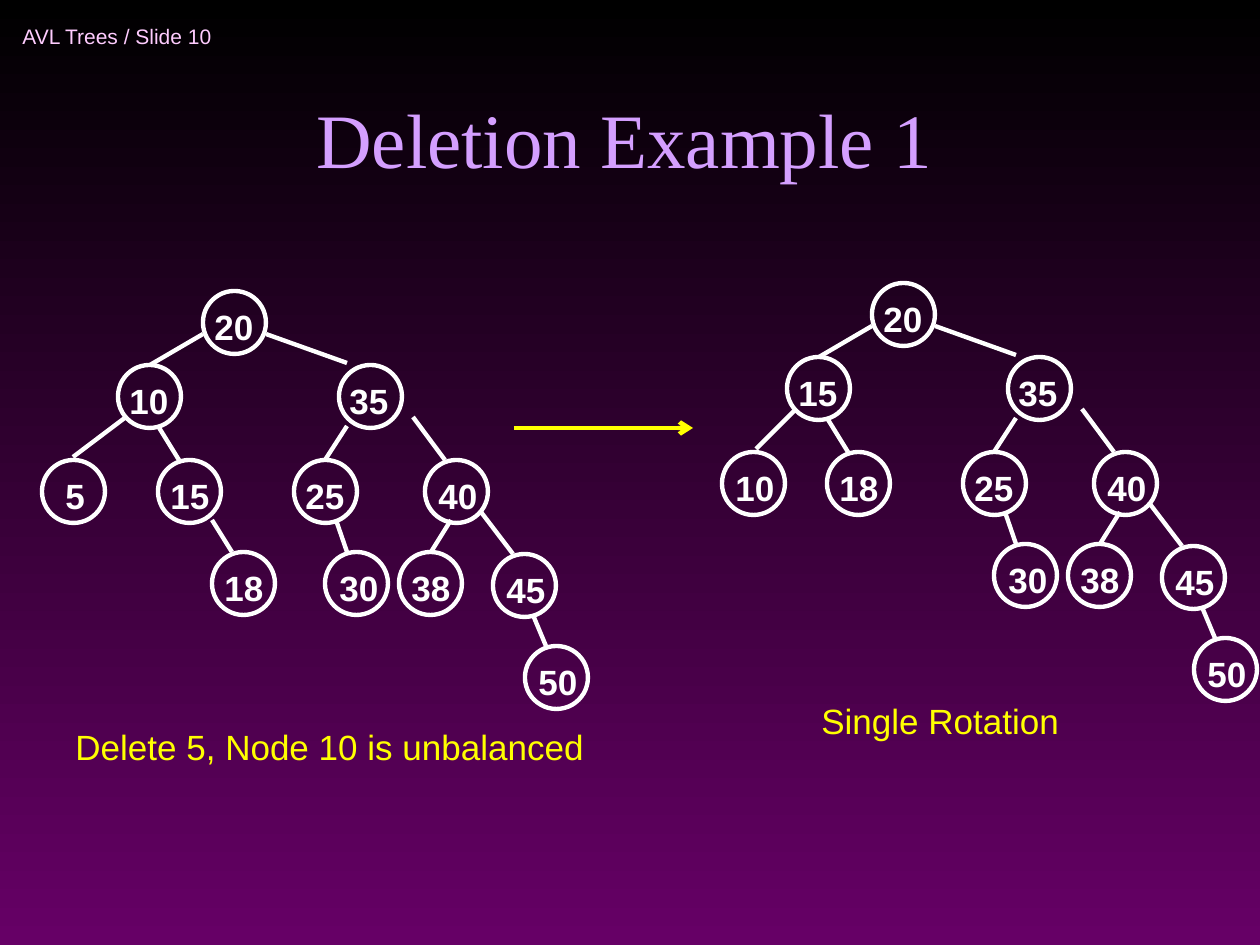
from dataclasses import dataclass
from lxml.etree import SubElement
from pptx import Presentation
from pptx.dml.color import RGBColor as RGB
from pptx.enum.shapes import MSO_CONNECTOR as CONN, MSO_SHAPE as SHAPE
from pptx.enum.text import MSO_ANCHOR as ANCHOR, MSO_AUTO_SIZE as FIT, PP_ALIGN as ALIGN
from pptx.oxml.ns import qn
from pptx.util import Pt

PX = 914400 / 126
NODE = 63
SLOTS = {
    "root": (203, 291, -1, None),
    "left": (118, 365, -1, (203, 334, 150, 365)),
    "right": (339, 365, -2, (266, 334, 347, 363)),
    "right_right": (425, 460, 1, (413, 417, 445, 460)),
    "left_right": (158, 460, 0, (158, 426, 179, 460)),
    "outer_left": (42, 460, 11, (126, 417, 73, 457)),
    "inner_left": (53, 460, 1, (126, 418, 87, 457)),
    "right_left": (294, 460, -1, (347, 426, 325, 460)),
    "left_right_right": (212, 552, 0, (212, 520, 232, 552)),
    "far_right": (493, 554, 1, (481, 512, 513, 554)),
    "right_right_left": (399, 552, 0, (451, 520, 431, 552)),
    "right_left_right": (325, 552, 2, (336, 520, 347, 552)),
    "far_right_right": (525, 646, 1, (533, 615, 546, 646)),
}
KEPT = {"root": "20", "right": "35", "right_right": "40", "right_left": "25", "far_right": "45",
        "right_right_left": "38", "right_left_right": "30", "far_right_right": "50"}
BEFORE = KEPT | {"left": "10", "left_right": "15", "outer_left": "5", "left_right_right": "18"}
AFTER = KEPT | {"left": "15", "left_right": "18", "inner_left": "10"}


@dataclass(frozen=True)
class Theme:
    top: str = "000000"
    bottom: str = "660066"
    header: str = "FFCCFF"
    title: str = "D49FFF"
    node: str = "FFFFFF"
    accent: str = "FFFF00"
    sans: str = "Arial"
    serif: str = "Times New Roman"
    header_size: int = 12
    title_size: int = 44
    body_size: int = 20
    line: float = 2.5


def emu(*lengths):
    return [round(n * PX) for n in lengths]


def apply(obj, values):
    for name, value in values.items():
        setattr(obj, name, value)


class TreeSlide:
    """Draws binary trees and text on one slide in a single style."""

    def __init__(self, prs, theme):
        self.theme = theme
        self.s = prs.slides.add_slide(prs.slide_layouts[6])

    def background(self):
        fill = self.s.background.fill
        fill.gradient()
        fill.gradient_angle = 270
        for stop, color in zip(fill.gradient_stops, (self.theme.top, self.theme.bottom)):
            stop.color.rgb = RGB.from_string(color)

    def text(self, text, box, color, size, font=None, bold=False, frame=None, para=None):
        tf = self.s.shapes.add_textbox(*emu(*box)).text_frame
        apply(tf, {"word_wrap": False} | (frame or {}))
        p = tf.paragraphs[0]
        apply(p, para or {})
        r = p.add_run()
        r.text = text
        apply(r.font, {"name": font or self.theme.sans, "size": Pt(size), "bold": bold})
        r.font.color.rgb = RGB.from_string(color)

    def body(self, text, box, color, bold=False):
        self.text(text, box, color, self.theme.body_size, bold=bold,
                  frame={"auto_size": FIT.SHAPE_TO_FIT_TEXT}, para={"space_before": Pt(5)})

    def stroke(self, sp, color):
        sp.line.color.rgb = RGB.from_string(color)
        sp.line.width = Pt(self.theme.line)

    def line(self, ends, color, arrow=False):
        sp = self.s.shapes.add_connector(CONN.STRAIGHT, *emu(*ends))
        self.stroke(sp, color)
        if arrow:
            SubElement(sp.line._get_or_add_ln(), qn("a:tailEnd"), type="arrow")
        SubElement(sp._element.spPr, qn("a:effectLst"))

    def node(self, label, x, y, shift):
        sp = self.s.shapes.add_shape(SHAPE.OVAL, *emu(x, y, NODE, NODE))
        sp.shadow.inherit = False
        sp.fill.background()
        self.stroke(sp, self.theme.node)
        width = 64 if len(label) > 1 else 44
        self.body(label, (x + shift, y + 8, width, 55), self.theme.node, bold=True)

    def tree(self, labels, dx=0, dy=0):
        for slot, label in labels.items():
            x, y, shift, edge = SLOTS[slot]
            if edge:
                x1, y1, x2, y2 = edge
                self.line((x1 + dx, y1 + dy, x2 + dx, y2 + dy), self.theme.node)
            self.node(label, x + dx, y + dy, shift)


def main():
    prs = Presentation()
    prs.slide_width, prs.slide_height = emu(1260, 945)
    t = Theme()
    d = TreeSlide(prs, t)
    d.background()
    d.text("AVL Trees / Slide 10", (10, 10, 347, 53), t.header, t.header_size,
           frame={"vertical_anchor": ANCHOR.MIDDLE, "word_wrap": True})
    d.text("Deletion Example 1", (84, 32, 1081, 158), t.title, t.title_size, t.serif,
           frame={"vertical_anchor": ANCHOR.BOTTOM, "word_wrap": True},
           para={"alignment": ALIGN.CENTER})
    d.line((514, 428, 693, 428), t.accent, arrow=True)
    d.body("Delete 5, Node 10 is unbalanced", (63, 719, 534, 55), t.accent)
    d.body("Single Rotation", (809, 693, 263, 55), t.accent)
    d.tree(BEFORE)
    d.tree(AFTER, 669, -8)
    prs.save("out.pptx")


if __name__ == "__main__":
    main()
